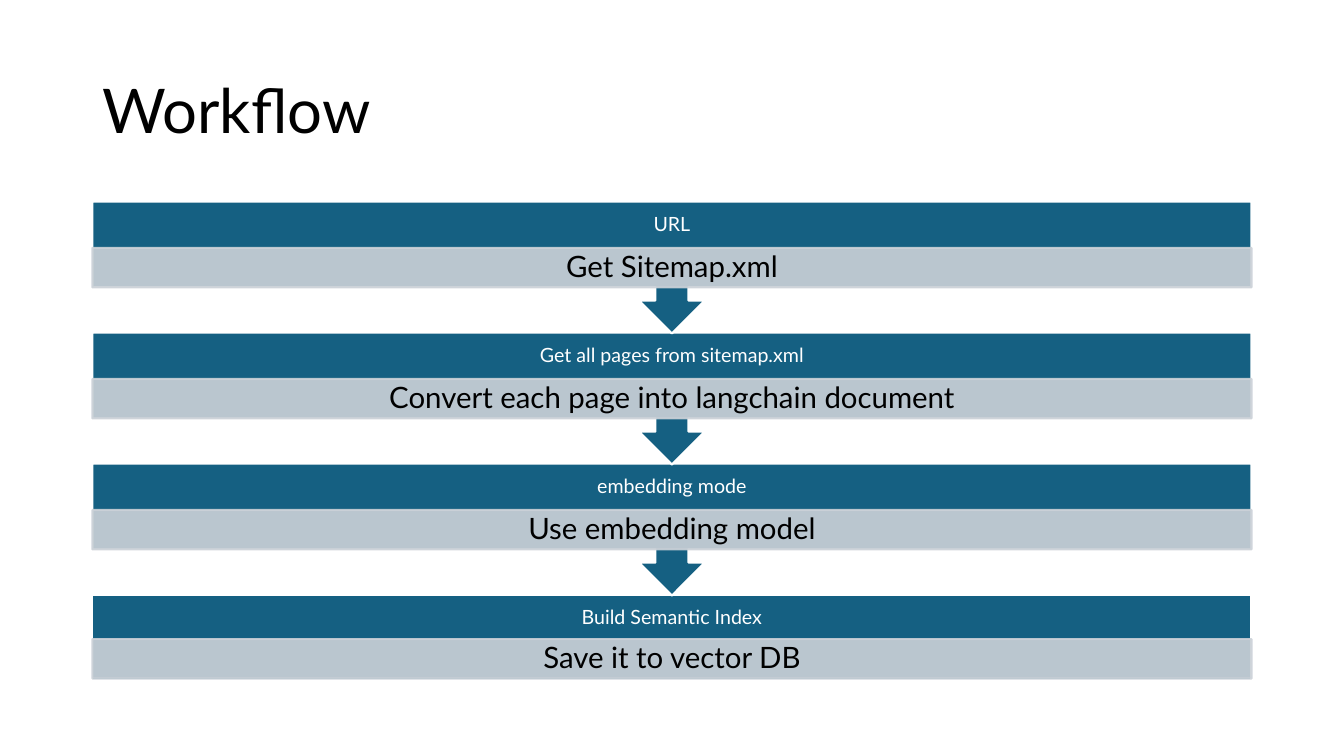
from lxml import etree
from pptx import Presentation
from pptx.dml.color import RGBColor
from pptx.enum.shapes import MSO_SHAPE
from pptx.enum.text import MSO_ANCHOR, PP_ALIGN
from pptx.oxml.ns import qn
from pptx.util import Pt

# Content
TITLE = "Workflow"
STEPS = [
    ("URL", "Get Sitemap.xml"),
    ("Get all pages from sitemap.xml", "Convert each page into langchain document"),
    ("embedding mode", "Use embedding model"),
    ("Build Semantic Index", "Save it to vector DB"),
]

# Style
FONT = "Lato"
TEAL = RGBColor(0x15, 0x60, 0x82)
MIST = RGBColor(0xCC, 0xD2, 0xD8)
WHITE = RGBColor(0xFF, 0xFF, 0xFF)
BLACK = RGBColor(0x00, 0x00, 0x00)
RECT, CALLOUT = MSO_SHAPE.RECTANGLE, MSO_SHAPE.DOWN_ARROW_CALLOUT
MIDDLE = MSO_ANCHOR.MIDDLE
LEFT_ALIGN, CENTER = PP_ALIGN.LEFT, PP_ALIGN.CENTER

# Layout in points
LEFT, WIDTH = 66, 828
TOP, PITCH = 144, 93.6
CALLOUT_H, LAST_H = 94.2, 61.2
LABEL_H, BAND_H = 33.1, 28.15
LAST_BAND_DY = 31.7

prs = Presentation()
prs.slide_width, prs.slide_height = Pt(960), Pt(540)
s = prs.slides.add_slide(prs.slide_layouts[6])


def write(sp, text, size, color, align, inset_x, inset_y):
    tf = sp.text_frame
    tf.word_wrap = True
    tf.vertical_anchor = MIDDLE
    tf.margin_left = tf.margin_right = Pt(inset_x)
    tf.margin_top = tf.margin_bottom = Pt(inset_y)
    p = tf.paragraphs[0]
    p.text = text
    p.alignment = align
    p.line_spacing = 0.9
    p.font.name, p.font.size = FONT, Pt(size)
    p.font.color.rgb = color


def add_text(y, h, *style):
    sp = s.shapes.add_textbox(Pt(LEFT), Pt(y), Pt(WIDTH), Pt(h))
    write(sp, *style)


def add_box(kind, y, h, fill, line):
    sp = s.shapes.add_shape(kind, Pt(LEFT), Pt(y), Pt(WIDTH), Pt(h))
    sp.shadow.inherit = False
    sp.fill.solid()
    sp.fill.fore_color.rgb = fill
    sp.line.color.rgb = line
    sp.line.width = Pt(1.5)
    return sp


def set_opacity(sp, percent):
    for color in sp.element.spPr.iter(qn("a:srgbClr")):
        etree.SubElement(color, qn("a:alpha")).set("val", str(percent * 1000))


# Title
add_text(28.8, 104.4, TITLE, 44, BLACK, LEFT_ALIGN, 7.2, 3.6)

# Steps, last first so that each arrow tip lies over the next bar
last = len(STEPS) - 1
for i, (label, detail) in reversed(list(enumerate(STEPS))):
    y = TOP + i * PITCH
    if i == last:
        kind, height, band_dy = RECT, LAST_H, LAST_BAND_DY
    else:
        kind, height, band_dy = CALLOUT, CALLOUT_H, LABEL_H
    add_box(kind, y, height, TEAL, WHITE)
    add_text(y, LABEL_H, label, 14, WHITE, CENTER, 7.9, 7.9)
    band = add_box(RECT, y + band_dy, BAND_H, MIST, MIST)
    set_opacity(band, 90)
    write(band, detail, 21, BLACK, CENTER, 11.5, 2.2)

prs.save("out.pptx")
